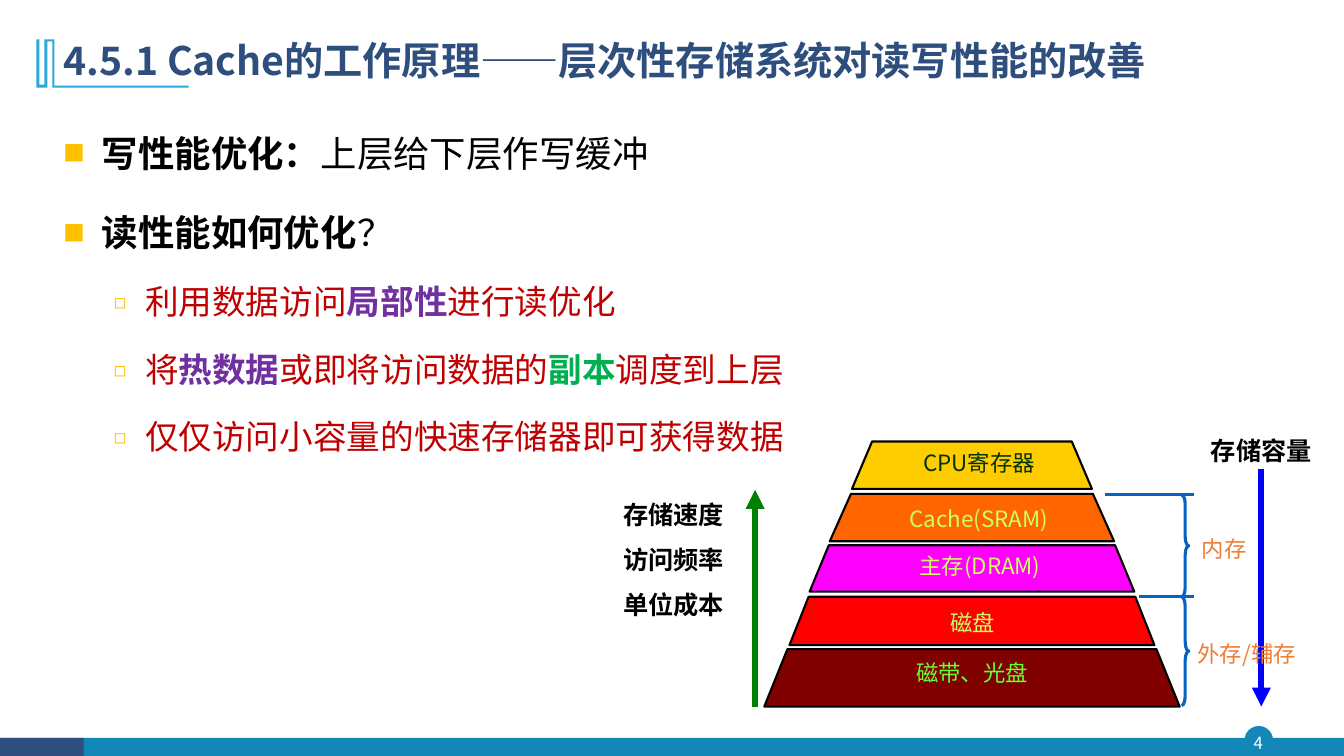
from dataclasses import dataclass

from lxml import etree
from pptx import Presentation
from pptx.dml.color import RGBColor
from pptx.enum.shapes import MSO_CONNECTOR, MSO_SHAPE
from pptx.enum.text import MSO_ANCHOR, MSO_AUTO_SIZE, PP_ALIGN
from pptx.oxml.ns import qn
from pptx.util import Inches, Pt

LEFT, CENTER, RIGHT, JUSTIFY = PP_ALIGN.LEFT, PP_ALIGN.CENTER, PP_ALIGN.RIGHT, PP_ALIGN.JUSTIFY
TOP, MIDDLE = MSO_ANCHOR.TOP, MSO_ANCHOR.MIDDLE
OVAL, RECT, BRACE = MSO_SHAPE.OVAL, MSO_SHAPE.RECTANGLE, MSO_SHAPE.RIGHT_BRACE
STRAIGHT = MSO_CONNECTOR.STRAIGHT


@dataclass(frozen=True)
class Theme:
    """Typeface, type sizes and colours of the slide."""
    font: str = "Noto Sans CJK SC"
    title_size: int = 28
    body_sizes: tuple = (26, 24)
    note_size: int = 18
    label_size: int = 16
    number_size: int = 12
    navy: str = "2E4E7E"
    teal: str = "1387B7"
    sky: str = "28A9D6"
    gold: str = "FFC000"
    black: str = "000000"
    white: str = "FFFFFF"
    red: str = "C00000"
    purple: str = "7030A0"
    green: str = "00B050"
    lime: str = "CCFF66"
    orange: str = "ED7D31"
    brace: str = "0563C1"
    speed: str = "008000"
    capacity: str = "0000FF"


T = Theme()
BODY = [
    (0, [("写性能优化：", T.black, True), ("上层给下层作写缓冲", T.black, False)]),
    (0, [("读性能如何优化", T.black, True), ("？", T.black, False)]),
    (1, [("利用数据访问", T.red, False), ("局部性", T.purple, True), ("进行读优化", T.red, False)]),
    (1, [("将", T.red, False), ("热数据", T.purple, True), ("或即将访问数据的", T.red, False),
         ("副本", T.green, True), ("调度到上层", T.red, False)]),
    (1, [("仅仅访问小容量的快速存储器即可获得数据", T.red, False)]),
]
LEVELS = [
    {"char": "■", "margin": 0.38, "hang": 0.38, "before": 10},
    {"char": "◻", "margin": 0.81, "hang": 0.31, "before": 5},
]
PYRAMID_CENTER = 9.64
PYRAMID = [
    ("CPU寄存器", "FFCC00", "003300", 4.38, 4.85, 0.99, 1.19, 9.71, 4.45),
    ("Cache(SRAM)", "FF6600", T.lime, 4.9, 5.37, 1.2, 1.41, 9.71, 5),
    ("主存(DRAM)", "FF00FF", T.lime, 5.41, 5.87, 1.42, 1.61, 9.72, 5.47),
    ("磁盘", "FF0000", T.lime, 5.92, 6.4, 1.62, 1.81, 9.65, 6.03),
    ("磁带、光盘", "800000", "66FF33", 6.44, 7.01, 1.83, 2.06, 9.64, 6.53),
]
CORNER_MARK = [(0.54, 0.39), (0.54, 0.85), (1.87, 0.85), (1.87, 0.87), (0.52, 0.87), (0.52, 0.41),
               (0.47, 0.41), (0.47, 0.87), (0.36, 0.87), (0.36, 0.39), (0.39, 0.39), (0.39, 0.84),
               (0.44, 0.84), (0.44, 0.39)]


def set_all(obj, values):
    """Set each named attribute of an object."""
    for name, value in values.items():
        setattr(obj, name, value)


def inches(*values):
    """Turn numbers into lengths."""
    return [Inches(v) for v in values]


def add_run(p, text, size, color, bold=False):
    """Add a formatted run to a paragraph."""
    r = p.add_run()
    r.text = text
    set_all(r.font, {"name": T.font, "size": Pt(size), "bold": bold})
    r.font.color.rgb = RGBColor.from_string(color)
    etree.SubElement(r.font._element, qn("a:ea")).set("typeface", T.font)


def add_bullet(p, char, margin, hang, before):
    """Give a paragraph a coloured bullet and a hanging indent."""
    pPr = p._p.get_or_add_pPr()
    pPr.set("marL", str(Inches(margin)))
    pPr.set("indent", str(-Inches(hang)))
    color = etree.SubElement(pPr, qn("a:buClr"))
    etree.SubElement(color, qn("a:srgbClr")).set("val", T.gold)
    etree.SubElement(pPr, qn("a:buSzPct")).set("val", "60000")
    etree.SubElement(pPr, qn("a:buFont")).set("typeface", T.font)
    etree.SubElement(pPr, qn("a:buChar")).set("char", char)
    p.space_before = Pt(before)


def place(sp, left, top, width, height):
    """Move and size a shape."""
    set_all(sp, dict(zip(("left", "top", "width", "height"), inches(left, top, width, height))))


def fill_title(sp, text):
    """Format the title placeholder."""
    place(sp, 0.53, 0.28, 11.5, 0.68)
    set_all(sp.text_frame, {"auto_size": MSO_AUTO_SIZE.NONE, "vertical_anchor": MIDDLE})
    p = sp.text_frame.paragraphs[0]
    set_all(p, {"alignment": LEFT, "line_spacing": 0.9})
    add_run(p, text, T.title_size, T.navy, True)


def fill_body(sp):
    """Format the body placeholder as a two-level list."""
    place(sp, 0.53, 1.03, 11.5, 6.16)
    tf = sp.text_frame
    tf.auto_size = MSO_AUTO_SIZE.NONE
    for i, (level, runs) in enumerate(BODY):
        p = tf.add_paragraph() if i else tf.paragraphs[0]
        add_bullet(p, **LEVELS[level])
        set_all(p, {"level": level, "alignment": JUSTIFY, "line_spacing": 1.5})
        if not i:
            p.space_before = Pt(0)
        for text, color, bold in runs:
            add_run(p, text, T.body_sizes[level], color, bold)


def add_text(s, box, lines, size, color, align=CENTER, bold=False, spacing=1, margin=0.01, anchor=TOP):
    """Add a text box with one paragraph per line."""
    tf = s.shapes.add_textbox(*inches(*box)).text_frame
    set_all(tf, {"word_wrap": True, "vertical_anchor": anchor})
    if margin is not None:
        set_all(tf, {f"margin_{side}": Inches(margin) for side in ("left", "top", "right", "bottom")})
    for i, line in enumerate(lines):
        p = tf.add_paragraph() if i else tf.paragraphs[0]
        set_all(p, {"alignment": align, "line_spacing": spacing})
        add_run(p, line, size, color, bold)


def paint(sp, fill=None, line=None, width=1):
    """Set fill and outline, and drop the shadow."""
    sp.shadow.inherit = False
    if fill:
        sp.fill.solid()
        sp.fill.fore_color.rgb = RGBColor.from_string(fill)
    else:
        sp.fill.background()
    if line:
        sp.line.color.rgb = RGBColor.from_string(line)
        sp.line.width = Pt(width)
    else:
        sp.line.fill.background()


def add_polygon(s, points, **look):
    """Add a closed outline."""
    start, *rest = [tuple(inches(*pt)) for pt in points]
    builder = s.shapes.build_freeform(*start)
    builder.add_line_segments(rest)
    paint(builder.convert_to_shape(), **look)


def add_line(s, start, end, color, width, arrow=False):
    """Add a straight line, with an arrowhead at its end if asked."""
    c = s.shapes.add_connector(STRAIGHT, *inches(*start, *end))
    c.line.color.rgb = RGBColor.from_string(color)
    c.line.width = Pt(width)
    if arrow:
        etree.SubElement(c.line._get_or_add_ln(), qn("a:tailEnd")).set("type", "triangle")
    etree.SubElement(c._element.spPr, qn("a:effectLst"))


def add_brace(s, top, bottom, bend):
    """Add a right brace beside the pyramid."""
    sp = s.shapes.add_shape(BRACE, *inches(11.72, top, 0.07, bottom - top))
    sp.adjustments[0] = bend
    paint(sp, line=T.brace, width=2.25)


def add_frame(s):
    """Add the footer bar, the page number and the title mark."""
    for kind, box, color, line in ((OVAL, (12.35, 7.21, 0.27, 0.27), T.teal, T.teal),
                                   (RECT, (0, 7.32, 13.33, 0.18), T.teal, None),
                                   (RECT, (0, 7.32, 0.83, 0.18), T.navy, None)):
        paint(s.shapes.add_shape(kind, *inches(*box)), color, line)
    add_text(s, (12.32, 7.21, 0.32, 0.31), ["4"], T.number_size, T.white, margin=0, anchor=MIDDLE)
    add_polygon(s, CORNER_MARK, fill=T.sky)


def add_pyramid(s):
    """Add the storage levels from fastest to largest."""
    for label, fill, color, top, bottom, upper, lower, middle, label_top in PYRAMID:
        corners = ((-lower, bottom), (-upper, top), (upper, top), (lower, bottom))
        add_polygon(s, [(PYRAMID_CENTER + x, y) for x, y in corners], fill=fill, line=T.black, width=1.5)
        add_text(s, (middle - 0.85, label_top, 1.7, 0.41), [label], T.label_size, color)


def add_annotations(s):
    """Add the arrows, braces and notes around the pyramid."""
    add_line(s, (7.49, 7.01), (7.49, 4.86), T.speed, 4.5, True)
    add_text(s, (5.97, 4.79, 1.22, 0.73), ["存储速度", "访问频率", "单位成本"],
             T.note_size, T.black, RIGHT, True, 1.5)
    add_line(s, (12.51, 4.65), (12.51, 7.01), T.capacity, 4.5, True)
    add_text(s, (11.8, 4.31, 1.22, 0.39), ["存储容量"], T.note_size, T.black, RIGHT, True)
    for top, bottom, left, bend in ((4.91, 5.92, 10.96, 1.25), (5.92, 7, 11.3, 1.33)):
        add_brace(s, top, bottom, bend)
        add_line(s, (left, top), (11.84, top), T.brace, 2.25)
    for box, text in (((11.75, 6.3, 1.2, 0.37), "外存/辅存"), ((11.81, 5.26, 0.65, 0.37), "内存")):
        add_text(s, box, [text], T.label_size, T.orange, RIGHT, margin=None)


def main():
    """Build the slide and save it."""
    prs = Presentation()
    set_all(prs, {"slide_width": Inches(13.33), "slide_height": Inches(7.5)})
    s = prs.slides.add_slide(prs.slide_layouts[1])
    add_frame(s)
    fill_title(s.shapes.title, "4.5.1 Cache的工作原理——层次性存储系统对读写性能的改善")
    fill_body(s.placeholders[1])
    add_pyramid(s)
    add_annotations(s)
    prs.save("out.pptx")


if __name__ == "__main__":
    main()
